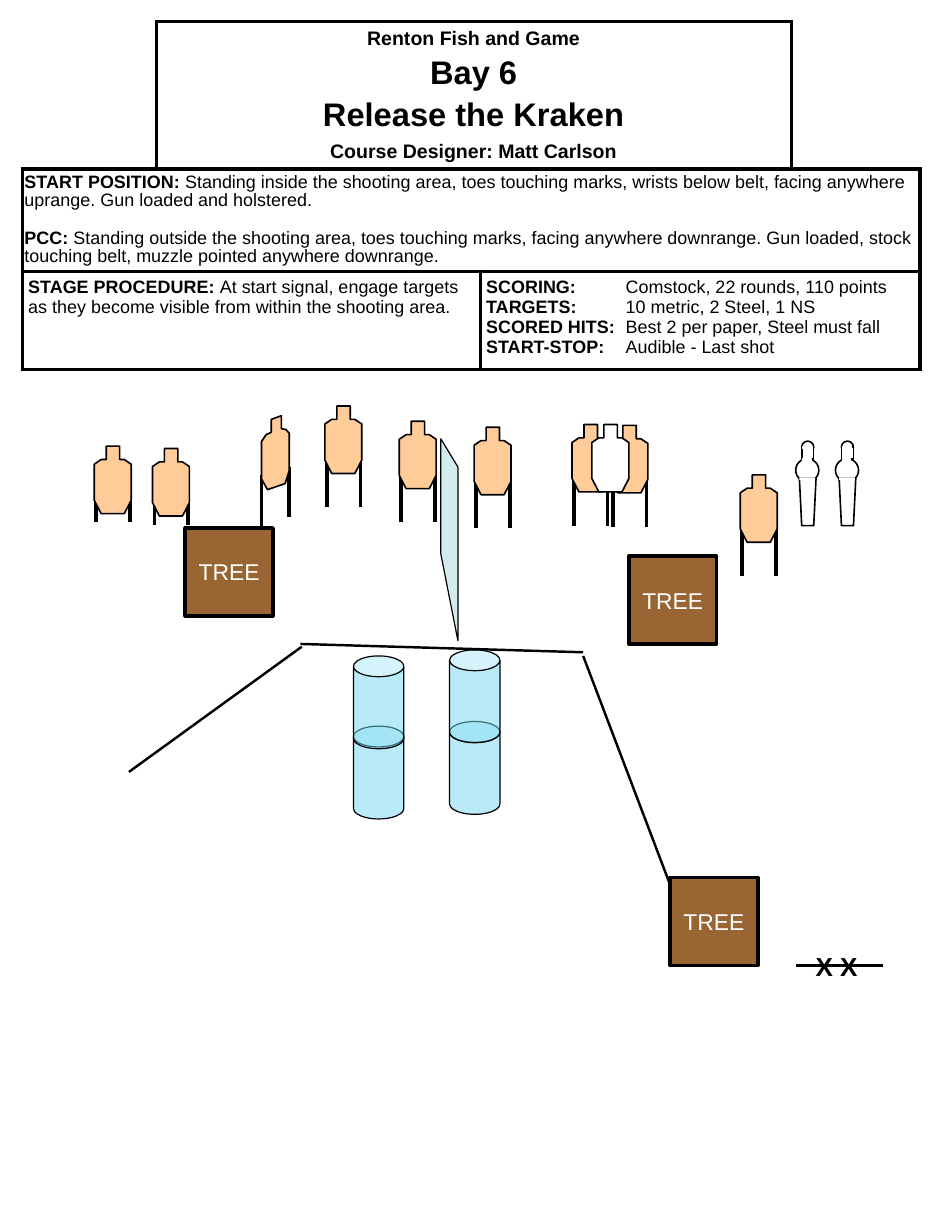
from typing import NamedTuple

from lxml import etree
from pptx import Presentation
from pptx.dml.color import RGBColor
from pptx.enum import shapes as sh, text as tx
from pptx.oxml import ns
from pptx.util import Cm, Pt

BLACK, WHITE, TAN, BROWN = "000000", "FFFFFF", "FFCC99", "996633"
FONT = "Arial"


class Target(NamedTuple):
    x: float
    y: float
    drop: float = 1.07  # from the top of the target to the top of its posts


class Line(NamedTuple):
    x1: float
    y1: float
    x2: float
    y2: float


class Para(NamedTuple):
    runs: list  # pairs of text and bold
    size: float = 11
    gap: float = 0  # space before, points
    lead: float = 1
    tab: float = 0  # tab stop, cm
    align: object = tx.PP_ALIGN.LEFT


class Zone(NamedTuple):
    row: int
    first: int
    last: int
    sides: str
    paras: list
    pad: tuple = (0.13, 0.13)  # side and top insets, cm
    anchor: object = tx.MSO_ANCHOR.TOP


def tint(hue: str) -> RGBColor:
    return RGBColor.from_string(hue)


def paint(item, fill: str, line: str = BLACK, width: float = 1, alpha: int = 100) -> None:
    item.shadow.inherit = False
    item.fill.solid()
    item.fill.fore_color.rgb = tint(fill)
    if alpha < 100:
        clr = item._element.spPr.find(".//" + ns.qn("a:srgbClr"))
        etree.SubElement(clr, ns.qn("a:alpha"), val=str(alpha * 1000))
    if line:
        item.line.color.rgb = tint(line)
        item.line.width = Pt(width)
    else:
        item.line.fill.background()


def shape(page, kind, x: float, y: float, w: float, h: float):
    return page.shapes.add_shape(kind, Cm(x), Cm(y), Cm(w), Cm(h))


def outline(page, x: float, y: float, pts: list):
    spots = [(Cm(x + dx), Cm(y + dy)) for dx, dy in pts]
    form = page.shapes.build_freeform(*spots[0], scale=1.0)
    form.add_line_segments(spots[1:], close=True)
    return form.convert_to_shape()


def stroke(page, line: Line, width: float) -> None:
    item = page.shapes.add_connector(sh.MSO_CONNECTOR.STRAIGHT, *[Cm(v) for v in line])
    item.line.color.rgb = tint(BLACK)
    item.line.width = Pt(width)
    etree.SubElement(item._element.spPr, ns.qn("a:effectLst"))


def write(frame, paras: list, hue: str = BLACK) -> None:
    for i, spec in enumerate(paras):
        para = frame.paragraphs[0] if i == 0 else frame.add_paragraph()
        para.alignment = spec.align
        para.line_spacing = spec.lead
        para.space_before = Pt(spec.gap)
        if spec.tab:
            tabs = etree.SubElement(para._p.get_or_add_pPr(), ns.qn("a:tabLst"))
            etree.SubElement(tabs, ns.qn("a:tab"), pos=str(Cm(spec.tab)), algn="l")
        para.font.name, para.font.size = FONT, Pt(spec.size)
        para.font.color.rgb = tint(hue)
        for words, bold in spec.runs:
            run = para.add_run()
            run.text, run.font.bold = words, bold


def border(cell, sides: str) -> None:
    props = cell._tc.get_or_add_tcPr()
    for i, side in enumerate(s for s in "LRTB" if s in sides):
        edge = etree.Element(ns.qn("a:ln" + side), w=str(Pt(2.25)))
        fill = etree.SubElement(edge, ns.qn("a:solidFill"))
        etree.SubElement(fill, ns.qn("a:srgbClr"), val=BLACK)
        props.insert(i, edge)


def fill_zone(grid, zone: Zone) -> None:
    head = grid.cell(zone.row, zone.first)
    if zone.last > zone.first:
        head.merge(grid.cell(zone.row, zone.last))
    for col in range(zone.first, zone.last + 1):
        cell = grid.cell(zone.row, col)
        cell.fill.solid()
        cell.fill.fore_color.rgb = tint(WHITE)
        inner = zone.sides.replace("L", "")
        if col < zone.last:
            inner = inner.replace("R", "")
        border(cell, zone.sides if col == zone.first else inner)
    side, top = zone.pad
    head.margin_left = head.margin_right = Cm(side)
    head.margin_top = head.margin_bottom = Cm(top)
    head.vertical_anchor = zone.anchor
    write(head.text_frame, zone.paras)


BODY = [(.26, 0), (.55, 0), (.55, .29), (.65, .29), (.8, .39), (.8, 1.17), (.65, 1.46),
        (.15, 1.46), (0, 1.17), (0, .39), (.15, .29), (.26, .29)]
TILT = [(.21, .08), (.43, 0), (.43, .28), (.53, .3), (.6, .38), (.6, 1.19), (.51, 1.47),
        (.13, 1.6), (0, 1.37), (0, .56), (.1, .41), (.21, .36)]


def target(page, spot: Target) -> None:
    top = spot.y + spot.drop
    for dx in (.04, .77):
        stroke(page, Line(spot.x + dx, top, spot.x + dx, top + 1.12), 2.25)
    paint(outline(page, spot.x, spot.y, BODY), TAN)


def popper(page, x: float, y: float) -> None:
    oval, rect = sh.MSO_SHAPE.OVAL, sh.MSO_SHAPE.RECTANGLE
    paint(shape(page, oval, x + .13, y, .26, .26), WHITE)
    paint(shape(page, oval, x, y + .38, .5, .5), WHITE)
    stem = [(0, 0), (.36, 0), (.31, 1.02), (.05, 1.02)]
    paint(outline(page, x + .08, y + .81, stem), WHITE)
    paint(shape(page, rect, x + .13, y + .13, .26, .26), WHITE)
    # White strips that hide the seams
    paint(shape(page, rect, x + .08, y + .79, .34, .05), WHITE, "")
    paint(shape(page, rect, x + .16, y + .38, .17, .05), WHITE, WHITE)
    paint(shape(page, rect, x + .15, y + .12, .2, .03), WHITE, WHITE)


def title(words: str, size: float, gap: float = 0) -> Para:
    return Para([(words, True)], size, gap, align=tx.PP_ALIGN.CENTER)


def score(label: str, words: str) -> Para:
    return Para([(label, True), ("\t" + words, False)], tab=3.02)


ZONES = [
    Zone(0, 0, 0, "RB", []),
    Zone(0, 1, 2, "LRTB", [
        title("Renton Fish and Game", 12), title("Bay 6", 20, 3.5),
        title("Release the Kraken", 20, 3.5),
        title("Course Designer: Matt Carlson", 12, 4.3)], anchor=tx.MSO_ANCHOR.MIDDLE),
    Zone(0, 3, 3, "LB", []),
    Zone(1, 0, 3, "LRTB", [
        Para([("START POSITION:", True), (
            " Standing inside the shooting area, toes touching marks, wrists below belt, "
            "facing anywhere uprange. Gun loaded and holstered.", False)], lead=.9),
        Para([("PCC: ", True), (
            "Standing outside the shooting area, toes touching marks, facing anywhere "
            "downrange. Gun loaded, stock touching belt, muzzle pointed anywhere "
            "downrange.", False)], gap=12.7, lead=.9)], pad=(.05, .1)),
    Zone(2, 0, 1, "LRTB", [
        Para([("STAGE PROCEDURE: ", True), (
            "At start signal, engage targets as they become visible from within the "
            "shooting area.", False)])]),
    Zone(2, 2, 3, "LRTB", [
        score("SCORING:", "Comstock, 22 rounds, 110 points"),
        score("TARGETS:", "10 metric, 2 Steel, 1 NS"),
        score("SCORED HITS:", "Best 2 per paper, Steel must fall"),
        score("START-STOP:", "Audible - Last shot")]),
]


def main() -> None:
    deck = Presentation()
    deck.slide_width, deck.slide_height = Cm(20.32), Cm(26.67)
    page = deck.slides.add_slide(deck.slide_layouts[6])

    # Barrels, lower one of each stack first
    for x, y in [(7.65, 15.72), (7.65, 14.2), (9.73, 15.62), (9.73, 14.07)]:
        can = shape(page, sh.MSO_SHAPE.CAN, x, y, 1.09, 2.01)
        can.adjustments[0] = .413
        paint(can, "73D9F1", width=.75, alpha=50)

    # Stage briefing
    cols, rows = [2.9, 7.01, 6.73, 2.79], [3.2, 2.21, 2.13]
    grid = page.shapes.add_table(3, 4, Cm(.48), Cm(.46), Cm(sum(cols)), Cm(sum(rows))).table
    grid.first_row = grid.horz_banding = False
    for col, wide in zip(grid.columns, cols):
        col.width = Cm(wide)
    for row, high in zip(grid.rows, rows):
        row.height = Cm(high)
    for zone in ZONES:
        fill_zone(grid, zone)

    # Trees
    for x, y in [(13.61, 12.04), (4.01, 11.43), (14.5, 19)]:
        tree = shape(page, sh.MSO_SHAPE.RECTANGLE, x, y, 1.9, 1.9)
        paint(tree, BROWN, width=2.25)
        frame = tree.text_frame
        frame.margin_left = frame.margin_right = 0
        frame.vertical_anchor = tx.MSO_ANCHOR.MIDDLE
        write(frame, [Para([("TREE", False)], 14, align=tx.PP_ALIGN.CENTER)], WHITE)

    # Fault lines and start line
    for line in [Line(6.53, 14, 2.79, 16.71), Line(12.62, 14.2, 14.5, 19.15),
                 Line(19.1, 20.9, 17.22, 20.9), Line(12.62, 14.12, 6.5, 13.94)]:
        stroke(page, line, 1.5)

    # Paper targets, the tilted one, and the no-shoot
    for x, y in [(5.66, 10.29), (6.25, 10.11)]:
        stroke(page, Line(x, y, x, y + 1.09), 2.25)
    paint(outline(page, 5.66, 9, TILT), TAN)
    for spot in [Target(8.64, 9.12), Target(10.26, 9.25), Target(7.03, 8.79),
                 Target(2.04, 9.66, .53), Target(12.38, 9.19), Target(13.22, 9.21),
                 Target(16.02, 10.28), Target(3.3, 9.71, .53)]:
        target(page, spot)
    paint(outline(page, 12.81, 9.19, BODY), WHITE)

    # Wall and steel
    wall = outline(page, 9.54, 9.5, [(0, 2.49), (.37, 4.37), (.37, .61), (0, 0)])
    paint(wall, "BBE0E3", width=.75, alpha=64)
    for x in (18.08, 17.22):
        popper(page, x, 9.55)

    # Start marks
    marks = page.shapes.add_textbox(Cm(17.4), Cm(20.45), Cm(1.47), Cm(.94))
    write(marks.text_frame, [Para([("X X", True)], 16)])

    deck.save("out.pptx")


if __name__ == "__main__":
    main()
